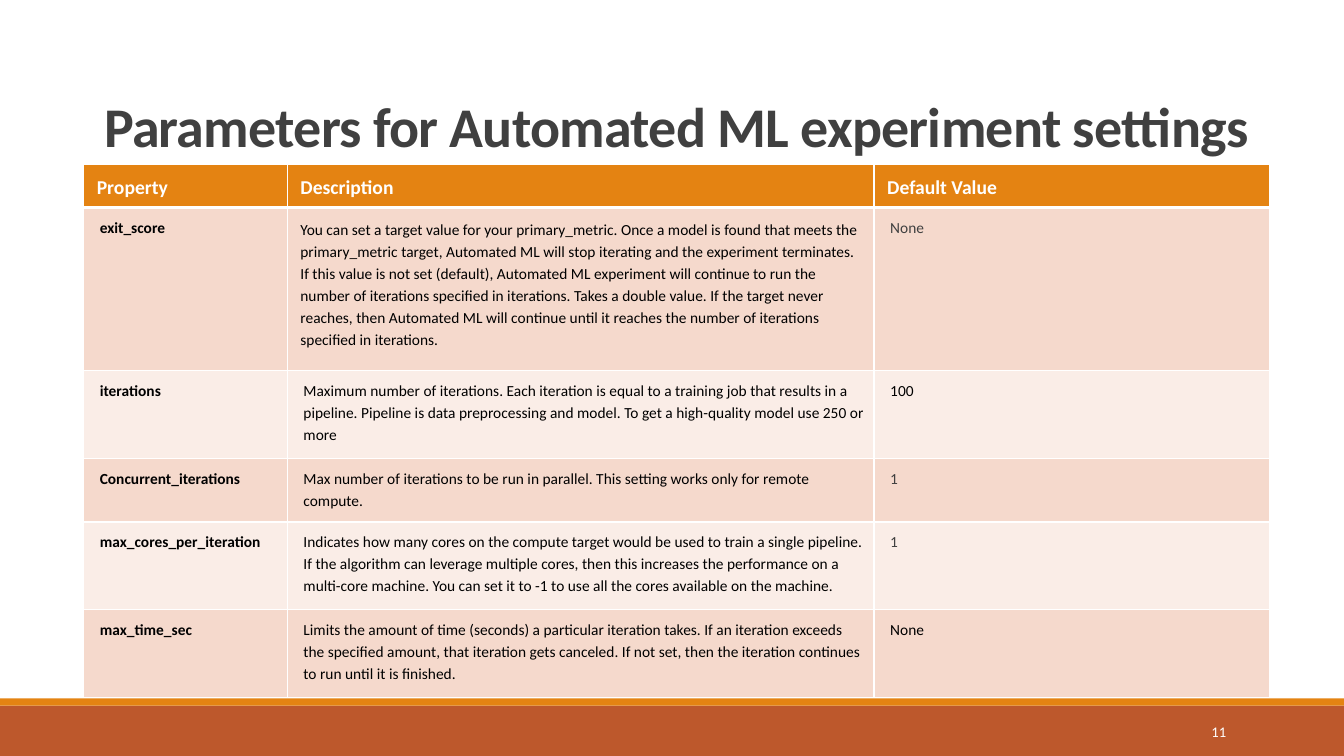
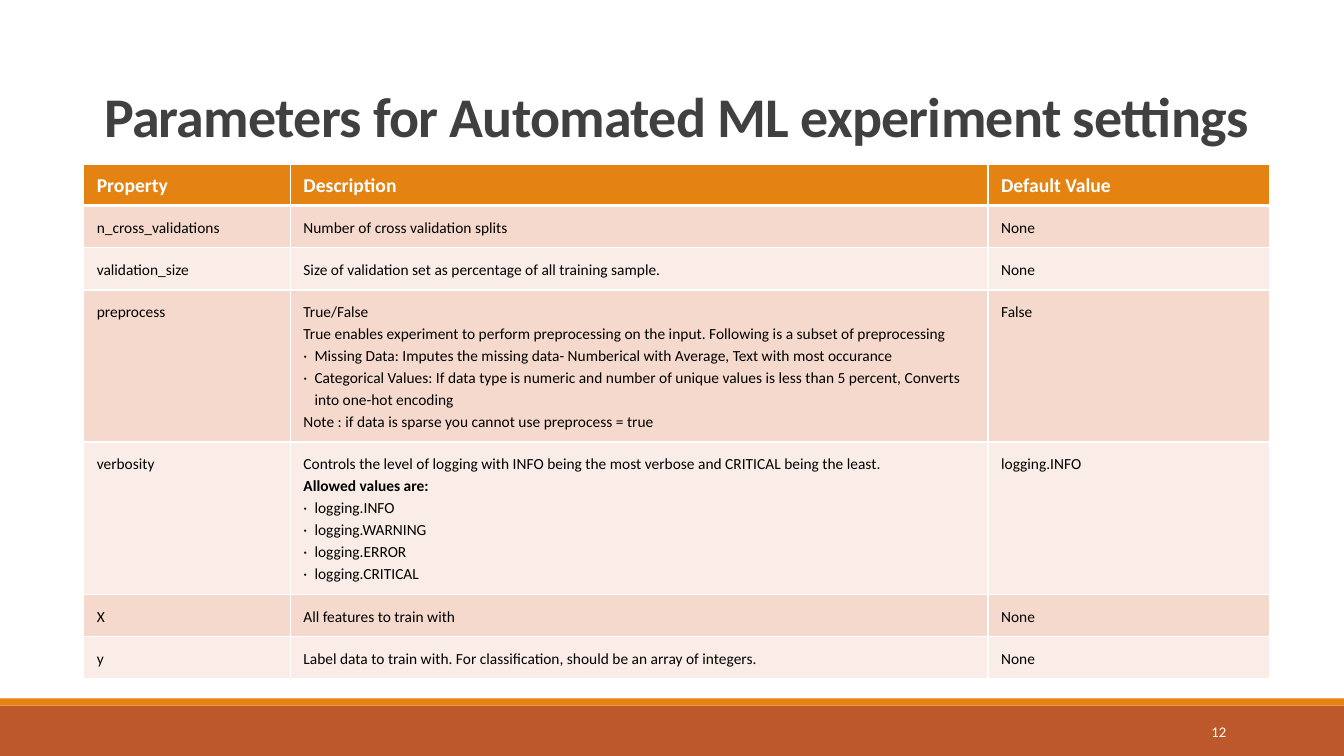
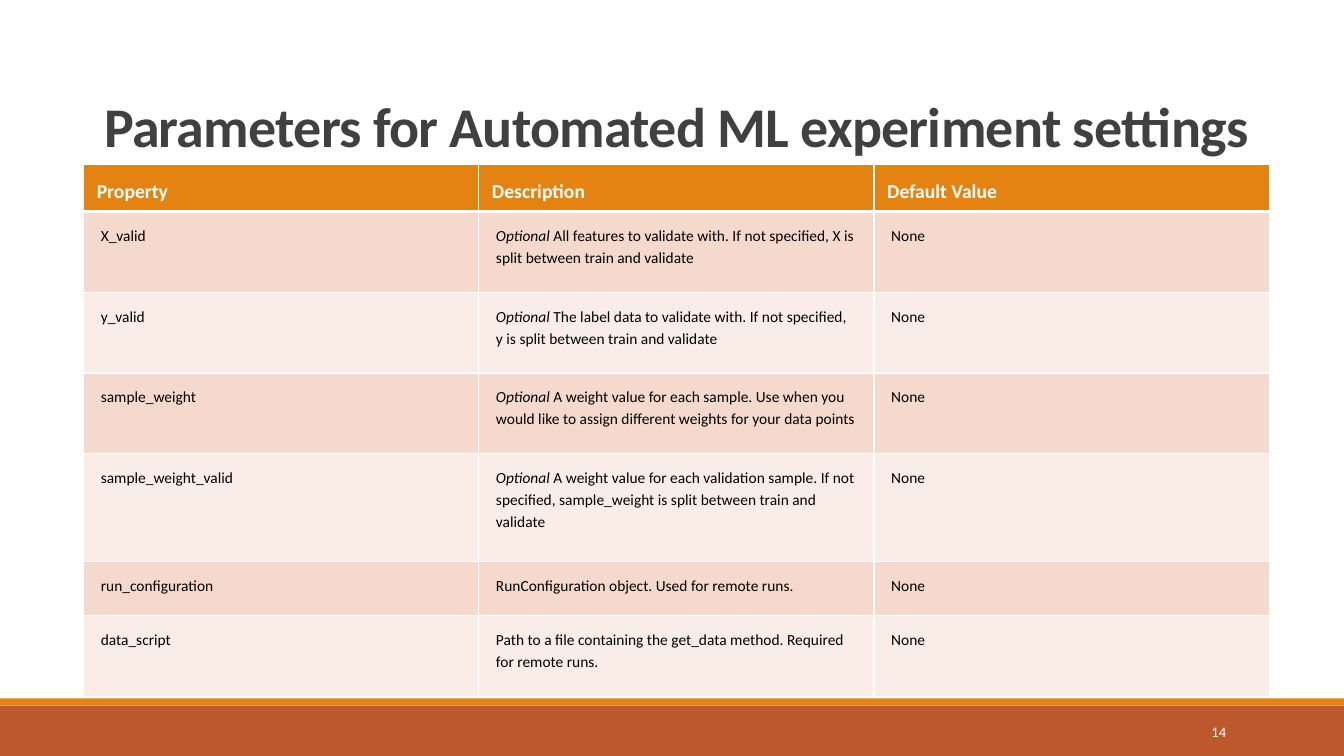
from typing import NamedTuple

import pptx
import pptx.dml.color
import pptx.enum.shapes
import pptx.enum.text
import pptx.oxml.ns
import pptx.util
from lxml import etree

RGBColor = pptx.dml.color.RGBColor
Inches = pptx.util.Inches
Pt = pptx.util.Pt
Anchor = pptx.enum.text.MSO_ANCHOR
Align = pptx.enum.text.PP_ALIGN
qn = pptx.oxml.ns.qn

WHITE = RGBColor(0xFF, 0xFF, 0xFF)
BLACK = RGBColor(0x00, 0x00, 0x00)
GRAY = RGBColor(0x40, 0x40, 0x40)
ORANGE = RGBColor(0xE4, 0x83, 0x12)
RUST = RGBColor(0xBD, 0x58, 0x2C)
ROW_FILLS = (RGBColor(0xF5, 0xD9, 0xCC), RGBColor(0xFA, 0xED, 0xE7))

FONT = "Calibri"
WIDTH, HEIGHT = 13.33, 7.5
TABLE_LEFT, TABLE_TOP, TABLE_WIDTH = 0.83, 1.63, 11.76
LINE_SPACING = Pt(15.7)
BULLET_INDENT = 0.11

# Cell insets: left, top, right, bottom
HEADER_INSETS = (0.13, 0.08, 0.08, 0.08)
NARROW_INSETS = (0.16, 0.08, 0.08, 0.08)
MEDIUM_INSETS = (0.13, 0.1, 0.13, 0.1)
WIDE_INSETS = (0.17, 0.12, 0.17, 0.12)


class Line(NamedTuple):
    """One paragraph of a cell; lead is an italic opening."""
    text: str
    lead: str = ""
    bold: bool = False
    bullet: bool = False
    color: RGBColor = BLACK


def optional(text):
    return [Line(" " + text, lead="Optional")]


def bullets(*texts):
    return [Line(text, bullet=True) for text in texts]


TITLE = "Parameters for Automated ML experiment settings"
HEADERS = ("Property", "Description", "Default Value")

PAGES = [
    {
        "number": 11,
        "title_top": 0.18,
        "columns": (2.02, 5.82, 3.92),
        "heights": (0.43, 1.62, 0.87, 0.63, 0.87, 0.87),
        "insets": NARROW_INSETS,
        "special_insets": {(1, 1): MEDIUM_INSETS},
        "bold_property": True,
        "rows": [
            ("exit_score",
             "You can set a target value for your primary_metric. Once a model is found that "
             "meets the primary_metric target, Automated ML will stop iterating and the "
             "experiment terminates. If this value is not set (default), Automated ML "
             "experiment will continue to run the number of iterations specified in "
             "iterations. Takes a double value. If the target never reaches, then Automated "
             "ML will continue until it reaches the number of iterations specified in "
             "iterations.",
             [Line("None", color=GRAY)]),
            ("iterations",
             "Maximum number of iterations. Each iteration is equal to a training job that "
             "results in a pipeline. Pipeline is data preprocessing and model. To get a "
             "high-quality model use 250 or more",
             "100"),
            ("Concurrent_iterations",
             "Max number of iterations to be run in parallel. This setting works only for "
             "remote compute.",
             [Line("1", color=GRAY)]),
            ("max_cores_per_iteration",
             "Indicates how many cores on the compute target would be used to train a single "
             "pipeline. If the algorithm can leverage multiple cores, then this increases the "
             "performance on a multi-core machine. You can set it to -1 to use all the cores "
             "available on the machine.",
             [Line("1", color=GRAY)]),
            ("max_time_sec",
             "Limits the amount of time (seconds) a particular iteration takes. If an "
             "iteration exceeds the specified amount, that iteration gets canceled. If not "
             "set, then the iteration continues to run until it is finished.",
             "None"),
        ],
    },
    {
        "number": 12,
        "title_top": 0.08,
        "columns": (2.05, 6.92, 2.79),
        "heights": (0.41, 0.41, 0.41, 1.5, 1.5, 0.41, 0.41),
        "insets": MEDIUM_INSETS,
        "rows": [
            ("n_cross_validations", "Number of cross validation splits", "None"),
            ("validation_size",
             "Size of validation set as percentage of all training sample.", "None"),
            ("preprocess",
             [Line("True/False"),
              Line("True enables experiment to perform preprocessing on the input. Following "
                   "is a subset of preprocessing"),
              *bullets("Missing Data: Imputes the missing data- Numberical with Average, Text "
                       "with most occurance",
                       "Categorical Values: If data type is numeric and number of unique "
                       "values is less than 5 percent, Converts into one-hot encoding"),
              Line("Note : if data is sparse you cannot use preprocess = true")],
             "False"),
            ("verbosity",
             [Line("Controls the level of logging with INFO being the most verbose and "
                   "CRITICAL being the least."),
              Line("Allowed values are:", bold=True),
              *bullets("logging.INFO", "logging.WARNING", "logging.ERROR",
                       "logging.CRITICAL")],
             "logging.INFO"),
            ("X", "All features to train with", "None"),
            ("y",
             "Label data to train with. For classification, should be an array of integers.",
             "None"),
        ],
    },
    {
        "number": 14,
        "title_top": 0.18,
        "columns": (3.92, 3.92, 3.92),
        "heights": (0.47, 0.8, 0.8, 0.8, 1.07, 0.54, 0.8),
        "insets": WIDE_INSETS,
        "rows": [
            ("X_valid",
             optional("All features to validate with. If not specified, X is split between "
                      "train and validate"), "None"),
            ("y_valid",
             optional("The label data to validate with. If not specified, y is split between "
                      "train and validate"), "None"),
            ("sample_weight",
             optional("A weight value for each sample. Use when you would like to assign "
                      "different weights for your data points"), "None"),
            ("sample_weight_valid",
             optional("A weight value for each validation sample. If not specified, "
                      "sample_weight is split between train and validate"), "None"),
            ("run_configuration", "RunConfiguration object. Used for remote runs.", "None"),
            ("data_script",
             "Path to a file containing the get_data method. Required for remote runs.",
             "None"),
        ],
    },
]


def style_font(font, size, color, bold=False):
    font.name, font.size, font.bold = FONT, Pt(size), bold
    font.color.rgb = color


def add_band(page, top, height, color):
    band = page.shapes.add_shape(pptx.enum.shapes.MSO_SHAPE.RECTANGLE,
                                 0, Inches(top), Inches(WIDTH), Inches(height))
    band.shadow.inherit = False
    band.fill.solid()
    band.fill.fore_color.rgb = color
    band.line.fill.background()


def add_label(page, text, frame, size, color, align, anchor, bold=False):
    box = page.shapes.add_textbox(*map(Inches, frame))
    box.text_frame.word_wrap = True
    box.text_frame.vertical_anchor = anchor
    para = box.text_frame.paragraphs[0]
    para.alignment = align
    para.add_run().text = text
    style_font(para.font, size, color, bold)
    return para


def add_frame(page, number, title_top):
    """Bands, page number and title, the same on every page."""
    add_band(page, 7, 0.5, RUST)
    add_band(page, 6.93, 0.07, ORANGE)
    add_label(page, str(number), (10.83, 7.06, 1.43, 0.4), 10.5, WHITE,
              Align.RIGHT, Anchor.MIDDLE)
    title = add_label(page, TITLE, (TABLE_LEFT, title_top, TABLE_WIDTH, 1.45), 40, GRAY,
                      Align.CENTER, Anchor.BOTTOM, bold=True)
    title.line_spacing = 0.85
    title.runs[0].font._element.set("spc", "-50")


def set_borders(cell, top, bottom):
    """White borders; must come before the cell's fill."""
    properties = cell._tc.get_or_add_tcPr()
    for edge, width in (("L", 1), ("R", 1), ("T", top), ("B", bottom)):
        line = etree.SubElement(properties, qn("a:ln" + edge), w=str(Pt(width)))
        fill = etree.SubElement(line, qn("a:solidFill"))
        etree.SubElement(fill, qn("a:srgbClr"), val=str(WHITE))


def set_bullet(para):
    properties = para._p.get_or_add_pPr()
    indent = Inches(BULLET_INDENT)
    properties.set("marL", str(indent))
    properties.set("indent", str(-indent))
    font = etree.Element(qn("a:buFont"), typeface=FONT)
    mark = etree.Element(qn("a:buChar"), char="·")
    defaults = properties.find(qn("a:defRPr"))
    defaults.addprevious(font)
    defaults.addprevious(mark)


def fill_cell(cell, lines, size, insets, color):
    cell.margin_left, cell.margin_top, cell.margin_right, cell.margin_bottom = map(
        Inches, insets)
    cell.fill.solid()
    cell.fill.fore_color.rgb = color
    for index, line in enumerate(lines):
        frame = cell.text_frame
        para = frame.add_paragraph() if index else frame.paragraphs[0]
        para.line_spacing = LINE_SPACING
        style_font(para.font, size, line.color, line.bold)
        if line.lead:
            span = para.add_run()
            span.text = line.lead
            span.font.italic = True
        para.add_run().text = line.text
        if line.bullet:
            set_bullet(para)


def add_parameters(page, content):
    rows, heights = content["rows"], content["heights"]
    table = page.shapes.add_table(
        len(rows) + 1, len(HEADERS), Inches(TABLE_LEFT), Inches(TABLE_TOP),
        Inches(TABLE_WIDTH), Inches(sum(heights))).table
    table.first_row = table.horz_banding = False
    for column, width in zip(table.columns, content["columns"]):
        column.width = Inches(width)
    for row, height in zip(table.rows, heights):
        row.height = Inches(height)

    for c, header in enumerate(HEADERS):
        cell = table.cell(0, c)
        set_borders(cell, top=1, bottom=3)
        cell.vertical_anchor = Anchor.BOTTOM
        fill_cell(cell, [Line(header, bold=True, color=WHITE)], 14, HEADER_INSETS, ORANGE)

    special = content.get("special_insets", {})
    for r, row in enumerate(rows, start=1):
        for c, value in enumerate(row):
            cell = table.cell(r, c)
            set_borders(cell, top=3 if r == 1 else 1, bottom=1)
            bold = c == 0 and content.get("bold_property", False)
            lines = [Line(value, bold=bold)] if isinstance(value, str) else value
            fill_cell(cell, lines, 11, special.get((r, c), content["insets"]),
                      ROW_FILLS[(r - 1) % 2])


def main():
    deck = pptx.Presentation()
    deck.slide_width, deck.slide_height = Inches(WIDTH), Inches(HEIGHT)
    for content in PAGES:
        page = deck.slides.add_slide(deck.slide_layouts[6])
        add_frame(page, content["number"], content["title_top"])
        add_parameters(page, content)
    deck.save("out.pptx")


if __name__ == "__main__":
    main()
